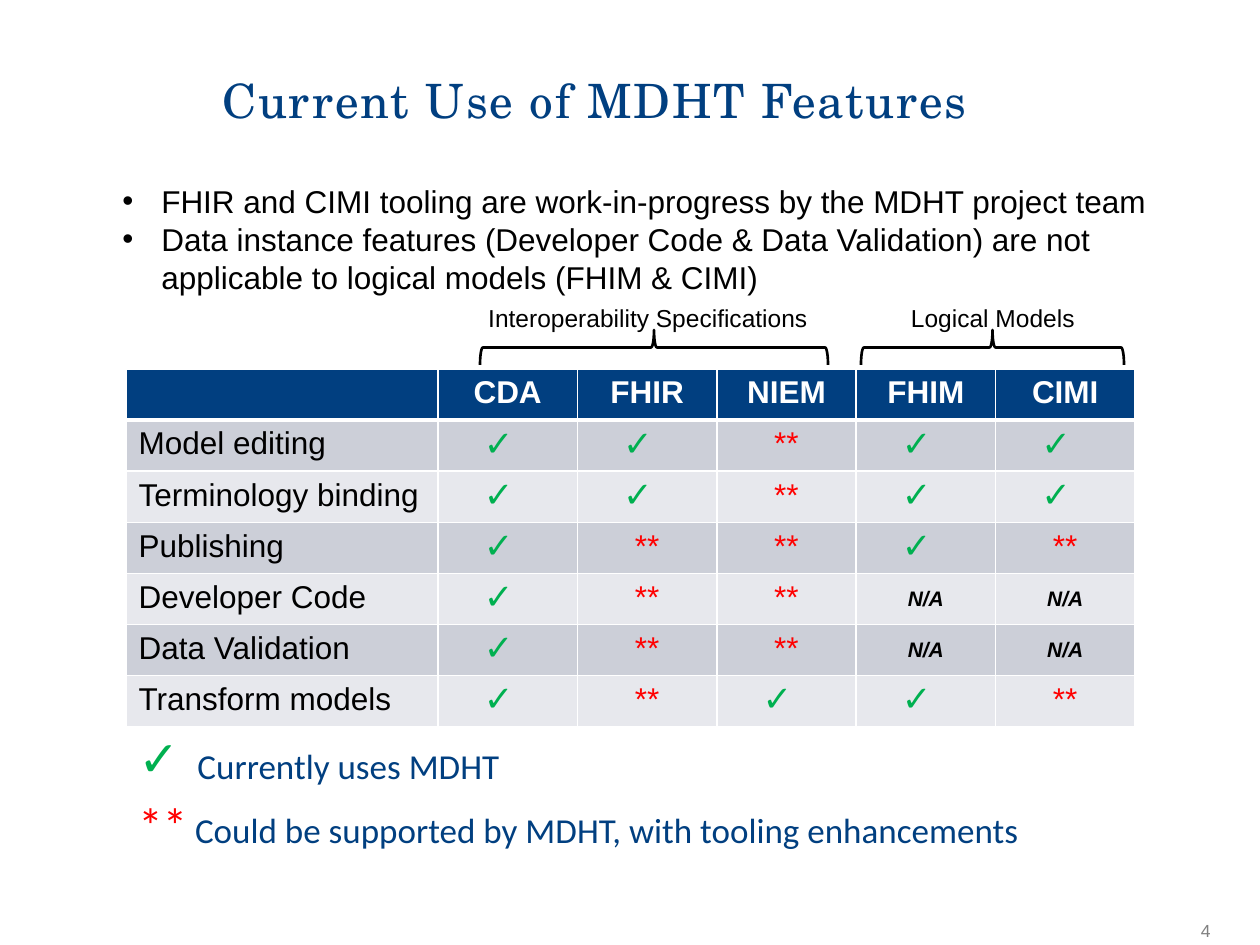
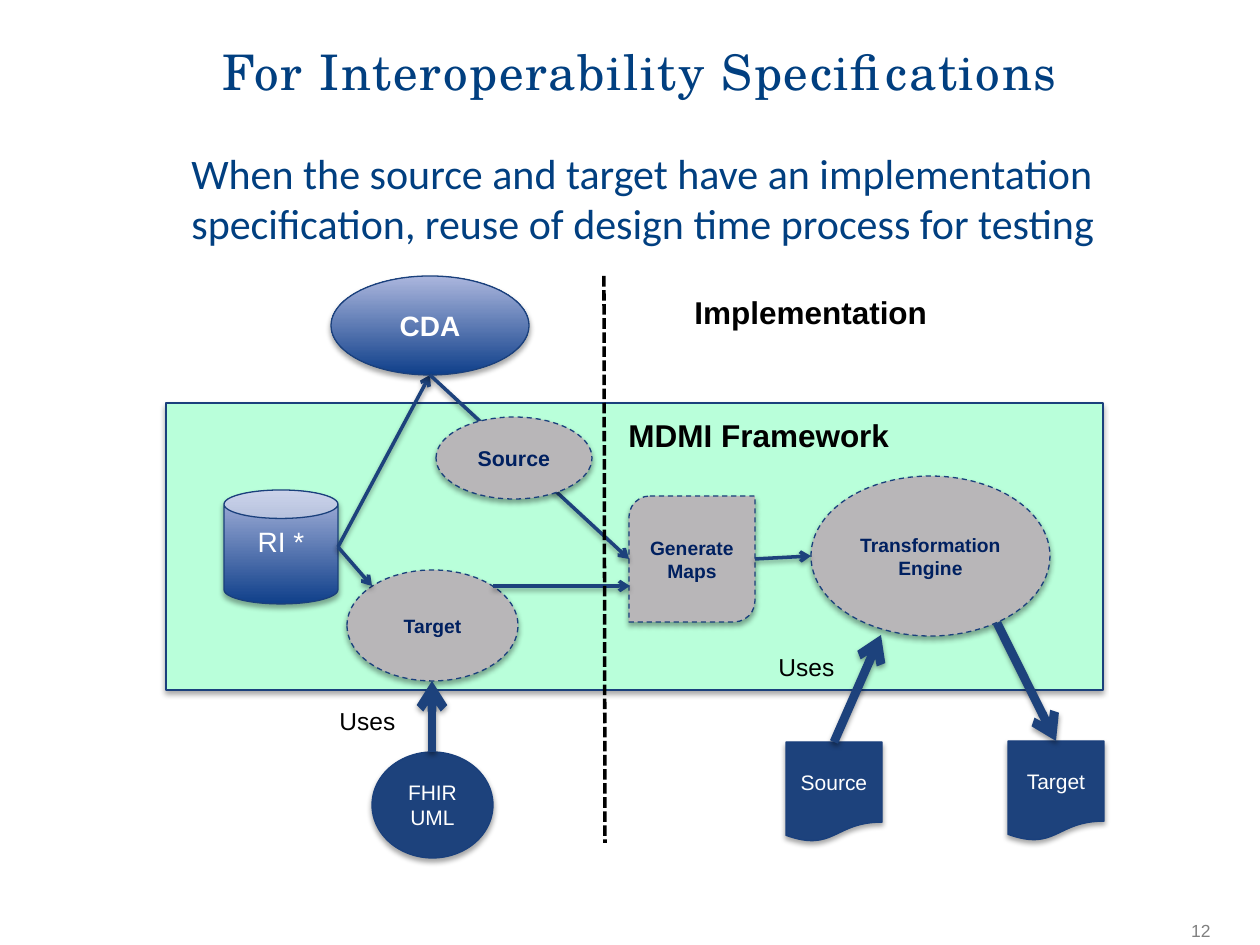
from lxml import etree
from pptx import Presentation
from pptx.dml.color import RGBColor
from pptx.enum.dml import MSO_LINE
from pptx.enum.shapes import MSO_CONNECTOR, MSO_SHAPE
from pptx.enum.text import MSO_ANCHOR, PP_ALIGN
from pptx.oxml.ns import qn
from pptx.util import Pt

SCALE = 914400 / 126

NAVY = RGBColor(0x01, 0x3F, 0x80)
INK = RGBColor(0x00, 0x20, 0x60)
STEEL = RGBColor(0x1D, 0x42, 0x7C)
EDGE = RGBColor(0x1A, 0x40, 0x7C)
DEEP = RGBColor(0x0F, 0x3F, 0x8A)
PALE = RGBColor(0xAB, 0xB6, 0xDD)
MINT = RGBColor(0xB9, 0xFF, 0xDA)
STONE = RGBColor(0xB8, 0xB6, 0xB8)
GREY = RGBColor(0x80, 0x80, 0x80)
DARK = RGBColor(0xCC, 0xCF, 0xD8)
LIGHT = RGBColor(0xE7, 0xE8, 0xED)
GREEN = RGBColor(0x00, 0xB0, 0x50)
RED = RGBColor(0xFF, 0x00, 0x00)
BLACK = RGBColor(0, 0, 0)
WHITE = RGBColor(0xFF, 0xFF, 0xFF)

SERIF = "TeX Gyre Schola"
SANS = "Arial"
BODY = "Calibri"

LEFT, CENTER, RIGHT = PP_ALIGN.LEFT, PP_ALIGN.CENTER, PP_ALIGN.RIGHT
TOP, MIDDLE = MSO_ANCHOR.TOP, MSO_ANCHOR.MIDDLE
DASH, DOTS = MSO_LINE.DASH, MSO_LINE.SQUARE_DOT
OVAL, CAN, RECT = MSO_SHAPE.OVAL, MSO_SHAPE.CAN, MSO_SHAPE.RECTANGLE
LEAF, PAPER = MSO_SHAPE.ROUND_2_DIAG_RECTANGLE, MSO_SHAPE.FLOWCHART_DOCUMENT
BRACE, STRAIGHT = MSO_SHAPE.LEFT_BRACE, MSO_CONNECTOR.STRAIGHT

CHECK, STARS, NONE = "✓", "**", "N/A"
HEADS = ["", "CDA", "FHIR", "NIEM", "FHIM", "CIMI"]
ROWS = [
    ["Model editing", CHECK, CHECK, STARS, CHECK, CHECK],
    ["Terminology binding", CHECK, CHECK, STARS, CHECK, CHECK],
    ["Publishing", CHECK, STARS, STARS, CHECK, STARS],
    ["Developer Code", CHECK, STARS, STARS, NONE, NONE],
    ["Data Validation", CHECK, STARS, STARS, NONE, NONE],
    ["Transform models", CHECK, STARS, CHECK, CHECK, STARS],
]
STYLES = {
    CHECK: dict(mark=CHECK, tint=GREEN, dent=39, grow=112, align=CENTER),
    STARS: dict(color=RED, align=CENTER),
    NONE: dict(size=12, bold=True, italic=True, align=CENTER),
}


def px(*sizes):
    return [round(size * SCALE) for size in sizes]


def add(node, tag, **attrs):
    return etree.SubElement(node, qn(tag), {k: str(v) for k, v in attrs.items()})


def write(frame, paras, size=18, color=BLACK, font=SANS, bold=False, italic=False,
          align=LEFT, gap=0, track=0, mark=None, tint=None, dent=0, grow=100,
          marked=None):
    for i, parts in enumerate(paras):
        para = frame.paragraphs[0] if i == 0 else frame.add_paragraph()
        para.alignment = align
        if gap and i:
            para.space_before = Pt(gap)
        if mark and (marked is None or i in marked):
            props = para._p.get_or_add_pPr()
            space = px(dent)[0]
            props.set("marL", str(space))
            props.set("indent", str(-space))
            if tint is not None:
                add(add(props, "a:buClr"), "a:srgbClr", val=tint)
            add(props, "a:buSzPct", val=grow * 1000)
            add(props, "a:buFont", typeface=SANS)
            add(props, "a:buChar", char=mark)
        if isinstance(parts, str):
            parts = [(parts, size, color)]
        for words, points, shade in parts:
            run = para.add_run()
            run.text = words
            run.font.size = Pt(points)
            run.font.name = font
            run.font.bold = bold
            run.font.italic = italic
            run.font.color.rgb = shade
            if track:
                run._r.get_or_add_rPr().set("spc", str(track))


def label(slide, box, paras, anchor=TOP, wrap=True, foot=6, **style):
    frame = slide.shapes.add_textbox(*px(*box)).text_frame
    frame.word_wrap = wrap
    frame.vertical_anchor = anchor
    frame.margin_bottom = px(foot)[0]
    write(frame, paras, **style)


def shade(shape, alpha, dist):
    props = shape._element.spPr
    effects = props.find(qn("a:effectLst"))
    if effects is None:
        effects = add(props, "a:effectLst")
    if alpha:
        cast = add(effects, "a:outerShdw", blurRad=Pt(3.1), dist=Pt(dist),
                   dir=5400000, rotWithShape=0)
        add(add(cast, "a:srgbClr", val="000000"), "a:alpha", val=alpha * 1000)


def node(slide, kind, box, paras=(), fill=None, dash=None, anchor=MIDDLE, **style):
    shape = slide.shapes.add_shape(kind, *px(*box))
    shape.shadow.inherit = False
    if fill is None:
        shape.fill.gradient()
        shape.fill.gradient_angle = 90
        for stop, color in zip(shape.fill.gradient_stops, (DEEP, PALE)):
            stop.color.rgb = color
    else:
        shape.fill.solid()
        shape.fill.fore_color.rgb = fill
    shape.line.color.rgb = EDGE
    shape.line.width = Pt(0.75)
    if dash:
        shape.line.dash_style = dash
    shade(shape, 35, 1.8)
    shape.text_frame.word_wrap = True
    shape.text_frame.vertical_anchor = anchor
    write(shape.text_frame, paras, align=CENTER, **style)
    return shape


def link(slide, ends, width=2, color=STEEL, dash=None, arrow=True):
    line = slide.shapes.add_connector(STRAIGHT, *px(*ends))
    line.line.color.rgb = color
    line.line.width = Pt(width)
    if dash:
        line.line.dash_style = dash
    if arrow:
        add(line.line._get_or_add_ln(), "a:tailEnd", type="arrow")
    shade(line, 38 if arrow else 0, 1.6)
    return line


def base(deck, title, page, size, foot=6):
    slide = deck.slides.add_slide(deck.slide_layouts[6])
    label(slide, (210, 20, 1061, 158), [title], anchor=MIDDLE, foot=foot,
          size=size, font=SERIF, color=NAVY, track=100)
    label(slide, (1165, 914, 58, 31), [page], size=10, color=GREY, align=RIGHT)
    return slide


def brace(slide, box, title, tag):
    x, y, w, h = box
    shape = slide.shapes.add_shape(
        BRACE, *px(x + (w - h) / 2, y + (h - w) / 2, h, w))
    shape.rotation = 90
    shape.shadow.inherit = False
    shape.fill.background()
    shape.line.color.rgb = BLACK
    shape.line.width = Pt(1.5)
    label(slide, tag, [title], size=14, align=CENTER)


def border(cell, base_width):
    props = cell._tc.get_or_add_tcPr()
    for side, width in zip("LRTB", (1, 1, 1, base_width)):
        line = add(props, "a:ln" + side, w=Pt(width))
        add(add(line, "a:solidFill"), "a:srgbClr", val=WHITE)


def grid(slide, box):
    wide, high = box[2:]
    first = 312
    rest = (wide - first) / (len(HEADS) - 1)
    count = len(ROWS) + 1
    table = slide.shapes.add_table(count, len(HEADS), *px(*box)).table
    for i, col in enumerate(table.columns):
        col.width = px(rest if i else first)[0]
    for r, words in enumerate([HEADS] + ROWS):
        table.rows[r].height = px(high / count)[0]
        for c, word in enumerate(words):
            cell = table.cell(r, c)
            border(cell, 1 if r else 3)
            cell.fill.solid()
            cell.fill.fore_color.rgb = (LIGHT, DARK)[r % 2] if r else NAVY
            style = STYLES.get(word, {})
            if r == 0:
                style = dict(color=WHITE, bold=True, align=CENTER)
            if word == NONE:
                cell.vertical_anchor = MIDDLE
            if word:
                write(cell.text_frame, [" " if word == CHECK else word], **style)


def features(deck):
    slide = base(deck, "Current Use of MDHT Features", "4", 27)
    grid(slide, (126, 369, 1009, 358))
    label(slide, (126, 724, 1063, 136), [
        [(" ", 28, RED), ("Currently uses MDHT", 20, NAVY)],
        [(STARS, 28, RED),
         (" Could be supported by MDHT, with tooling enhancements", 20, NAVY)],
    ], font=BODY, gap=3, mark=CHECK, tint=GREEN, dent=48, marked=[0])
    brace(slide, (480, 330, 348, 35), "Interoperability Specifications",
          (468, 297, 360, 43))
    brace(slide, (861, 330, 263, 35), "Logical Models", (834, 297, 318, 43))
    label(slide, (110, 176, 1056, 127), [
        "FHIR and CIMI tooling are work-in-progress by the MDHT project team",
        "Data instance features (Developer Code & Data Validation) are not "
        "applicable to logical models (FHIM & CIMI)",
    ], mark="•", dent=39)


def flow(slide, x, y):
    def at(left, top, *size):
        return (x + left, y + top, *size)

    def path(a, b, c, d, **style):
        return link(slide, at(a, b) + at(c, d), **style)

    soft = dict(fill=STONE, dash=DASH, color=INK, bold=True)
    solid = dict(fill=STEEL, color=WHITE, size=12)
    node(slide, RECT, at(0, 127, 937, 287), fill=MINT)
    node(slide, CAN, at(58, 214, 114, 114), ["RI *"], anchor=TOP, size=16, color=WHITE)
    node(slide, OVAL, at(181, 294, 171, 111), ["Target"], size=11, **soft)
    path(172, 271, 264, 99)
    path(172, 271, 206, 310)
    node(slide, OVAL, at(165, 0, 198, 99), ["CDA"], size=16, color=WHITE, bold=True)
    node(slide, OVAL, at(645, 200, 239, 160), ["Transformation", "Engine"],
         size=11, **soft)
    node(slide, LEAF, at(463, 220, 126, 126), ["Generate", "Maps"], size=11, **soft)
    path(264, 99, 463, 283)
    path(327, 310, 464, 310)
    path(589, 283, 645, 280)
    node(slide, OVAL, at(206, 476, 121, 106), ["FHIR UML"], **solid)
    path(266, 476, 266, 405, width=5)
    for spot in ((600, 370), (161, 424)):
        label(slide, at(*spot, 107, 43), ["Uses"], size=14)
    node(slide, OVAL, at(270, 141, 156, 82), ["Source"], size=12.2, **soft)
    label(slide, at(450, 134, 498, 50), ["MDMI Framework"], bold=True)
    source = node(slide, PAPER, at(620, 466, 96, 100), ["Source"], **solid)
    path(668, 466, 715, 359, width=5).begin_connect(source, 0)
    target = node(slide, PAPER, at(842, 465, 96, 100), ["Target"], **solid)
    path(831, 347, 890, 465, width=5).end_connect(target, 0)
    path(438, 0, 439, 567, color=BLACK, dash=DOTS, arrow=False)
    label(slide, at(516, 11, 261, 50), ["Implementation"], wrap=False, bold=True)


def interop(deck):
    slide = base(deck, "For Interoperability Specifications", "12", 28, foot=63)
    label(slide, (179, 141, 1045, 120), [
        "When the source and target have an implementation specification, "
        "reuse of design time process for testing",
    ], size=24, font=BODY, color=NAVY)
    flow(slide, 166, 276)


def main():
    deck = Presentation()
    deck.slide_width, deck.slide_height = px(1260, 945)
    features(deck)
    interop(deck)
    deck.save("out.pptx")


if __name__ == "__main__":
    main()
